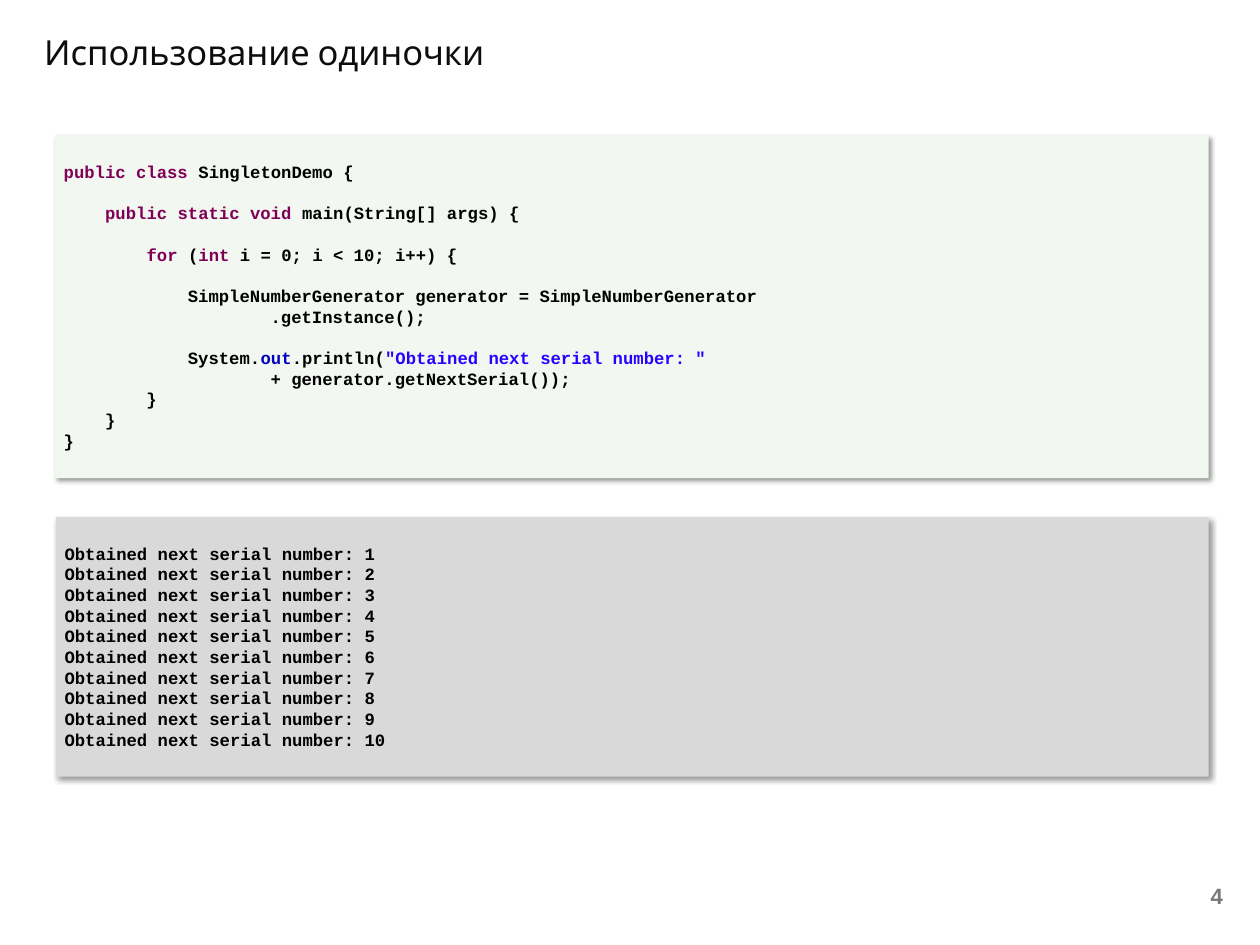
import pptx
import pptx.util
import pptx.dml.color
import pptx.enum.shapes
import pptx.enum.text
import pptx.oxml
import pptx.oxml.ns
from lxml import etree

Inches, Pt = pptx.util.Inches, pptx.util.Pt
COLORS = {
    "title": "0D0D0D", "number": "777777", "code_bg": "F2F7F2", "output_bg": "D9D9D9",
    "plain": "000000", "keyword": "7F0055", "field": "0000C0", "string": "2A00FF",
}
LINE = Pt(16.8)
SHADOW = (
    '<a:outerShdw xmlns:a="http://schemas.openxmlformats.org/drawingml/2006/main" '
    'blurRad="50800" dist="38100" dir="2700000" algn="tl" rotWithShape="0">'
    '<a:srgbClr val="000000"><a:alpha val="40000"/></a:srgbClr></a:outerShdw>'
)


def add_run(p, text, font, size, color, bold=False):
    r = p.add_run()
    r.text = text
    r.font.name = font
    r.font.size = Pt(size)
    r.font.bold = bold
    r.font.color.rgb = pptx.dml.color.RGBColor.from_string(COLORS[color])


def add_listing(left, top, width, height, fill, lines):
    """Draw a shadowed panel; each line is (blank line above, [(text, colour), ...])."""
    sp = s.shapes.add_shape(pptx.enum.shapes.MSO_SHAPE.RECTANGLE,
                            Inches(left), Inches(top), Inches(width), Inches(height))
    sp.fill.solid()
    sp.fill.fore_color.rgb = pptx.dml.color.RGBColor.from_string(COLORS[fill])
    sp.line.fill.background()
    sp.shadow.inherit = False
    effects = sp.element.spPr.find(pptx.oxml.ns.qn("a:effectLst"))
    effects.append(etree.fromstring(SHADOW))
    tf = sp.text_frame
    tf.word_wrap = True
    tf.vertical_anchor = pptx.enum.text.MSO_ANCHOR.TOP
    tf.margin_top = Inches(0.29)
    for i, (gap, runs) in enumerate(lines):
        p = tf.add_paragraph() if i else tf.paragraphs[0]
        p.alignment = pptx.enum.text.PP_ALIGN.LEFT
        p.line_spacing = LINE
        if gap:
            p.space_before = LINE
        for text, color in runs:
            add_run(p, text, "Courier New", 14, color, bold=True)


prs = pptx.Presentation()
prs.slide_width, prs.slide_height = Inches(14.22), Inches(10.67)
s = prs.slides.add_slide(prs.slide_layouts[6])

# Title
tf = s.shapes.add_textbox(Inches(0.4), Inches(0.3), Inches(11.03), Inches(0.63)).text_frame
tf.word_wrap = True
add_run(tf.paragraphs[0], "Использование одиночки", "Cabin", 28, "title")

# Slide number
tf = s.shapes.add_textbox(Inches(10.58), Inches(9.85), Inches(3.32), Inches(0.53)).text_frame
tf.word_wrap = True
tf.vertical_anchor = pptx.enum.text.MSO_ANCHOR.MIDDLE
p = tf.paragraphs[0]
p.alignment = pptx.enum.text.PP_ALIGN.RIGHT
add_run(p, "4", "Arial", 18, "number", bold=True)

# Java code
code = [
    (False, [("public class", "keyword"), (" SingletonDemo {", "plain")]),
    (True, [("    ", "plain"), ("public static void", "keyword"),
            (" main(String[] args) {", "plain")]),
    (True, [("        ", "plain"), ("for", "keyword"), (" (", "plain"),
            ("int", "keyword"), (" i = 0; i < 10; i++) {", "plain")]),
    (True, [("            SimpleNumberGenerator generator = SimpleNumberGenerator", "plain")]),
    (False, [("                    .getInstance();", "plain")]),
    (True, [("            System.", "plain"), ("out", "field"), (".println(", "plain"),
            ('"Obtained next serial number: "', "string")]),
    (False, [("                    + generator.getNextSerial());", "plain")]),
    (False, [("        }", "plain")]),
    (False, [("    }", "plain")]),
    (False, [("}", "plain")]),
]
add_listing(0.62, 1.53, 13.02, 3.87, "code_bg", code)

# Program output
output = [(False, [(f"Obtained next serial number: {n}", "plain")]) for n in range(1, 11)]
add_listing(0.63, 5.84, 13.01, 2.93, "output_bg", output)

prs.save("out.pptx")
